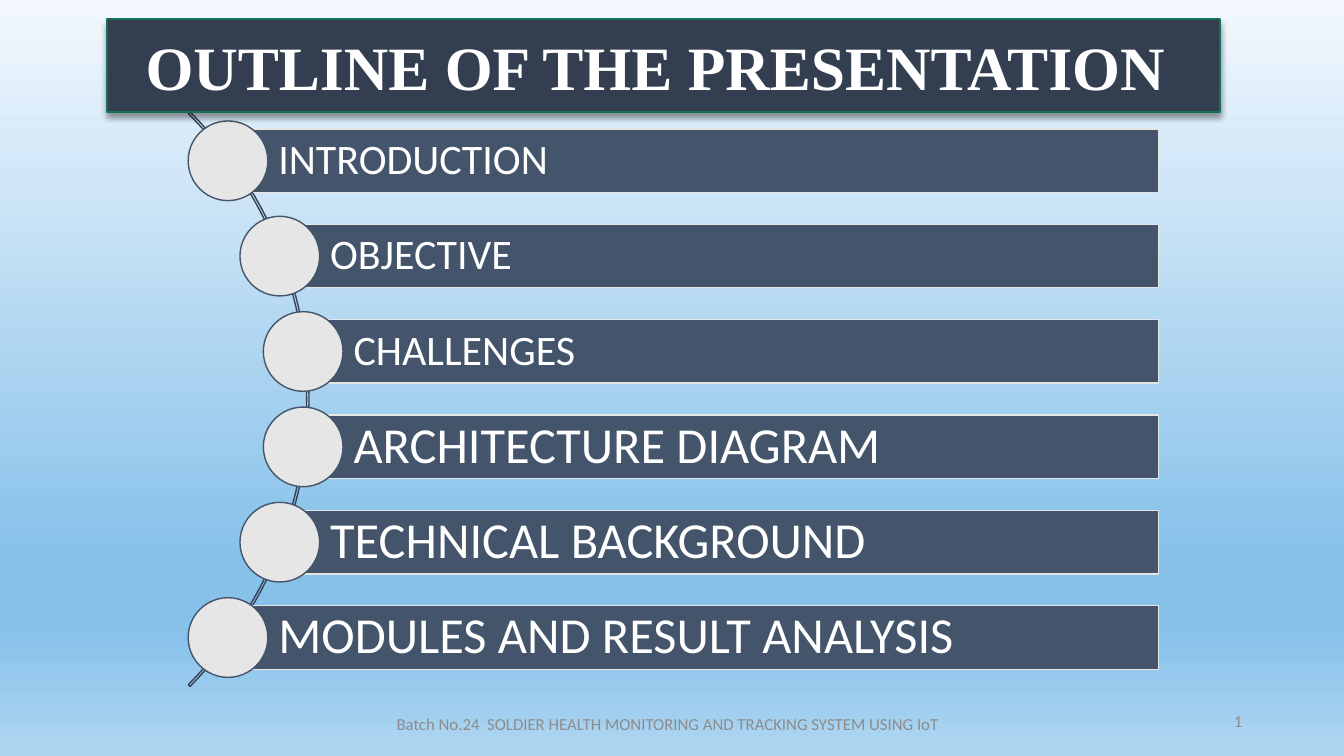
from dataclasses import dataclass
from math import sqrt

from lxml.etree import SubElement
from pptx import Presentation
from pptx.dml.color import RGBColor
from pptx.enum.shapes import MSO_SHAPE
from pptx.enum.text import MSO_ANCHOR, MSO_AUTO_SIZE, PP_ALIGN
from pptx.oxml import parse_xml
from pptx.oxml.ns import nsdecls, qn
from pptx.util import Inches, Pt


@dataclass(frozen=True)
class Theme:
    """Colours, fonts and type sizes of the slide."""
    sky: tuple = ((0, "F2F8FD"), (74, "87C1EA"), (83, "87C1EA"), (100, "AFD6F1"))
    banner: str = "333F50"
    edge: str = "157259"
    arc: str = "364355"
    bar: str = "44546A"
    dot: str = "E7E6E6"
    white: str = "FFFFFF"
    grey: str = "8C8C8C"
    serif: str = "Times New Roman"
    sans: str = "Calibri"
    head: int = 44
    large: int = 36
    mid: int = 30
    small: int = 12


THEME = Theme()
TOPICS = (
    ("INTRODUCTION", THEME.mid),
    ("OBJECTIVE", THEME.mid),
    ("CHALLENGES", THEME.mid),
    ("ARCHITECTURE DIAGRAM", THEME.large),
    ("TECHNICAL BACKGROUND", THEME.large),
    ("MODULES AND RESULT ANALYSIS", THEME.large),
)


def write(shape, text, size, color=THEME.white, font=THEME.sans, bold=False,
          align=PP_ALIGN.LEFT, left=0.1, right=0.1, edge=0.05, lead=1.0):
    """Put one formatted line of text into a shape and return its run."""
    frame = shape.text_frame
    frame.word_wrap = True
    frame.auto_size = MSO_AUTO_SIZE.NONE
    frame.vertical_anchor = MSO_ANCHOR.MIDDLE
    frame.margin_left, frame.margin_right = Inches(left), Inches(right)
    frame.margin_top = frame.margin_bottom = Inches(edge)
    para = frame.paragraphs[0]
    para.alignment, para.line_spacing = align, lead
    run = para.add_run()
    run.text = text
    run.font.name, run.font.size, run.font.bold = font, Pt(size), bold
    run.font.color.rgb = RGBColor.from_string(color)
    return run


def paint(shape, fill, line):
    """Set the fill (None for no fill) and a one-point outline."""
    if fill:
        shape.fill.solid()
        shape.fill.fore_color.rgb = RGBColor.from_string(fill)
    else:
        shape.fill.background()
    shape.line.color.rgb = RGBColor.from_string(line)
    shape.line.width = Pt(1)


def draw(slide, kind, box, fill, line):
    """Add a flat preset shape in a box given in inches."""
    shape = slide.shapes.add_shape(kind, *map(Inches, box))
    shape.shadow.inherit = False
    paint(shape, fill, line)
    return shape


def backdrop(slide):
    """Fill the background with the vertical sky gradient."""
    fill = slide.background.fill
    fill.gradient()
    fill.gradient_angle = 270
    stops = slide.element.xpath(".//p:bg//a:gsLst")[0]
    for stop in list(stops):
        stops.remove(stop)
    for place, color in THEME.sky:
        stop = SubElement(stops, qn("a:gs"), pos=str(place * 1000))
        SubElement(stop, qn("a:srgbClr"), val=color)


def banner(slide, box, text):
    """Turn the title placeholder into a rounded banner with a shadow."""
    title = slide.shapes.title
    title.left, title.top, title.width, title.height = map(Inches, box)
    props = title.element.spPr
    props.append(parse_xml(
        f'<a:prstGeom {nsdecls("a")} prst="roundRect"><a:avLst>'
        '<a:gd name="adj" fmla="val 19600"/></a:avLst></a:prstGeom>'))
    paint(title, THEME.banner, THEME.edge)
    props.append(parse_xml(
        f'<a:effectLst {nsdecls("a")}><a:outerShdw blurRad="{Pt(4)}" '
        f'dist="{Pt(3)}" dir="5400000" algn="ctr" rotWithShape="0">'
        '<a:srgbClr val="000000"><a:alpha val="40000"/></a:srgbClr>'
        '</a:outerShdw></a:effectLst>'))
    write(title, text, THEME.head, font=THEME.serif, bold=True,
          align=PP_ALIGN.CENTER, right=0.25)
    slide.shapes._spTree.append(title.element)


def outline(slide, box, topics):
    """Lay topic bars along a curve, each led by a dot on the curve."""
    left, top, width, height = box
    curve, orbit, dot, bar = 4.03, 4.0, 0.79, 0.63
    hub, mid = left + dot / 2 - 3.22, top + height / 2
    pitch = (height - dot) / (len(topics) - 1)
    arc = draw(slide, MSO_SHAPE.BLOCK_ARC,
               (hub - curve, mid - curve, 2 * curve, 2 * curve), None, THEME.arc)
    for index, value in enumerate((189, 27, 0.003)):
        arc.adjustments[index] = value
    for index, (text, size) in enumerate(topics):
        y = top + dot / 2 + index * pitch
        x = hub + sqrt(orbit ** 2 - (y - mid) ** 2)
        strip = draw(slide, MSO_SHAPE.RECTANGLE,
                     (x, y - bar / 2, left + width - x, bar), THEME.bar, THEME.dot)
        write(strip, text, size, left=0.5, edge=0.08, lead=0.9)
        draw(slide, MSO_SHAPE.OVAL, (x - dot / 2, y - dot / 2, dot, dot),
             THEME.dot, THEME.bar)


def footer(slide, box, text):
    """Add the centred footer line and the slide number at the right."""
    left, top, width, height = box
    note = slide.shapes.add_textbox(*map(Inches, (left, top + 0.03, 5.73, height)))
    write(note, text, THEME.small, THEME.grey, align=PP_ALIGN.CENTER)
    page = slide.shapes.add_textbox(
        *map(Inches, (left + width - 3, top, 3, height)))
    run = write(page, "2", THEME.small, THEME.grey, align=PP_ALIGN.RIGHT)._r
    run.tag = qn("a:fld")
    run.set("id", "{B6F15528-21DE-4FAA-801E-634DDDAF4B2B}")
    run.set("type", "slidenum")


def main():
    """Build and save the slide."""
    deck = Presentation()
    deck.slide_width, deck.slide_height = Inches(13.33), Inches(7.5)
    slide = deck.slides.add_slide(deck.slide_layouts[5])
    backdrop(slide)
    outline(slide, (1.86, 1.2, 9.63, 5.52), TOPICS)
    banner(slide, (1.06, 0.19, 11.04, 0.92), "OUTLINE OF THE PRESENTATION")
    footer(slide, (3.76, 6.95, 8.66, 0.4),
           "Batch No.24  SOLDIER HEALTH MONITORING AND TRACKING SYSTEM USING IoT")
    deck.save("out.pptx")


main()
